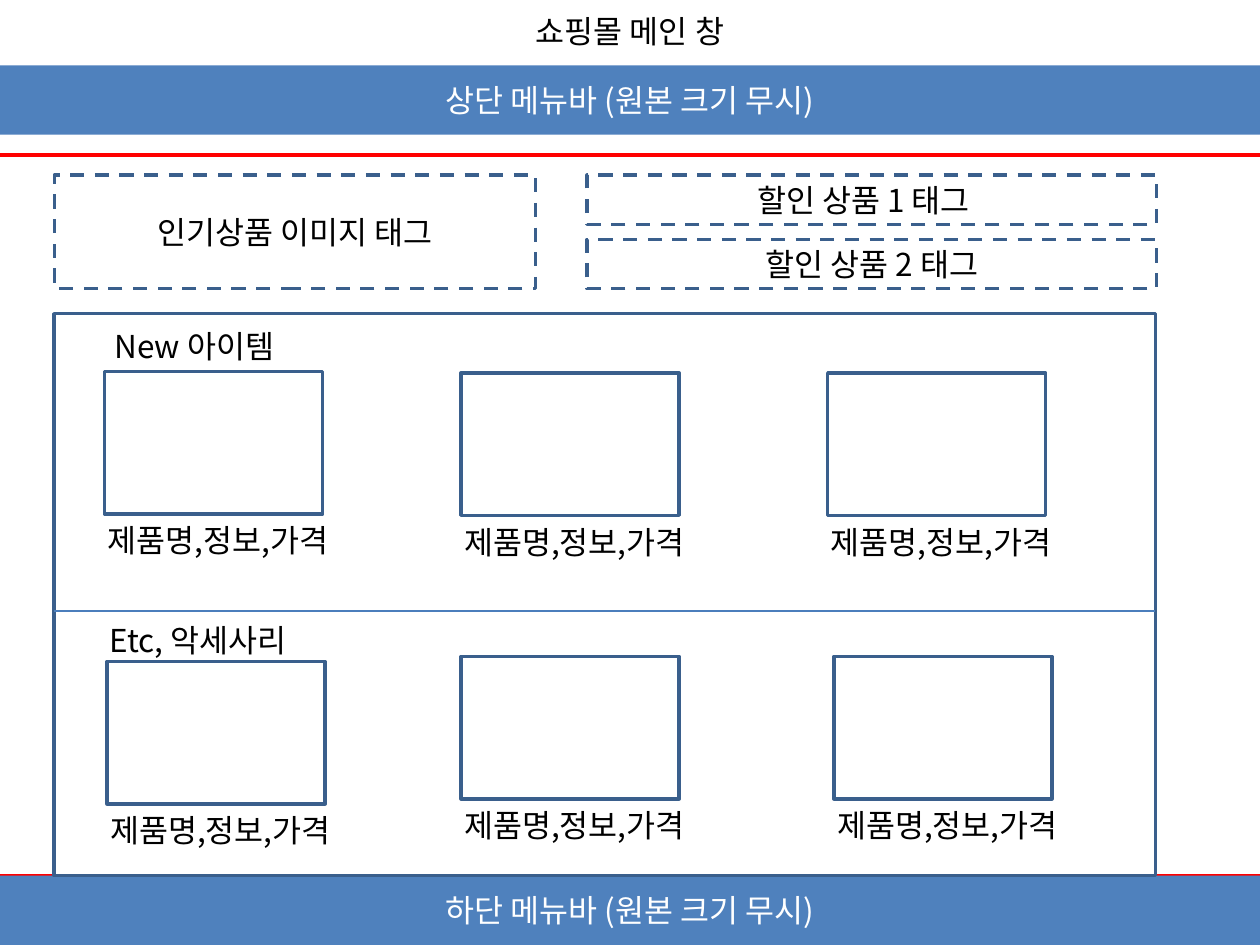
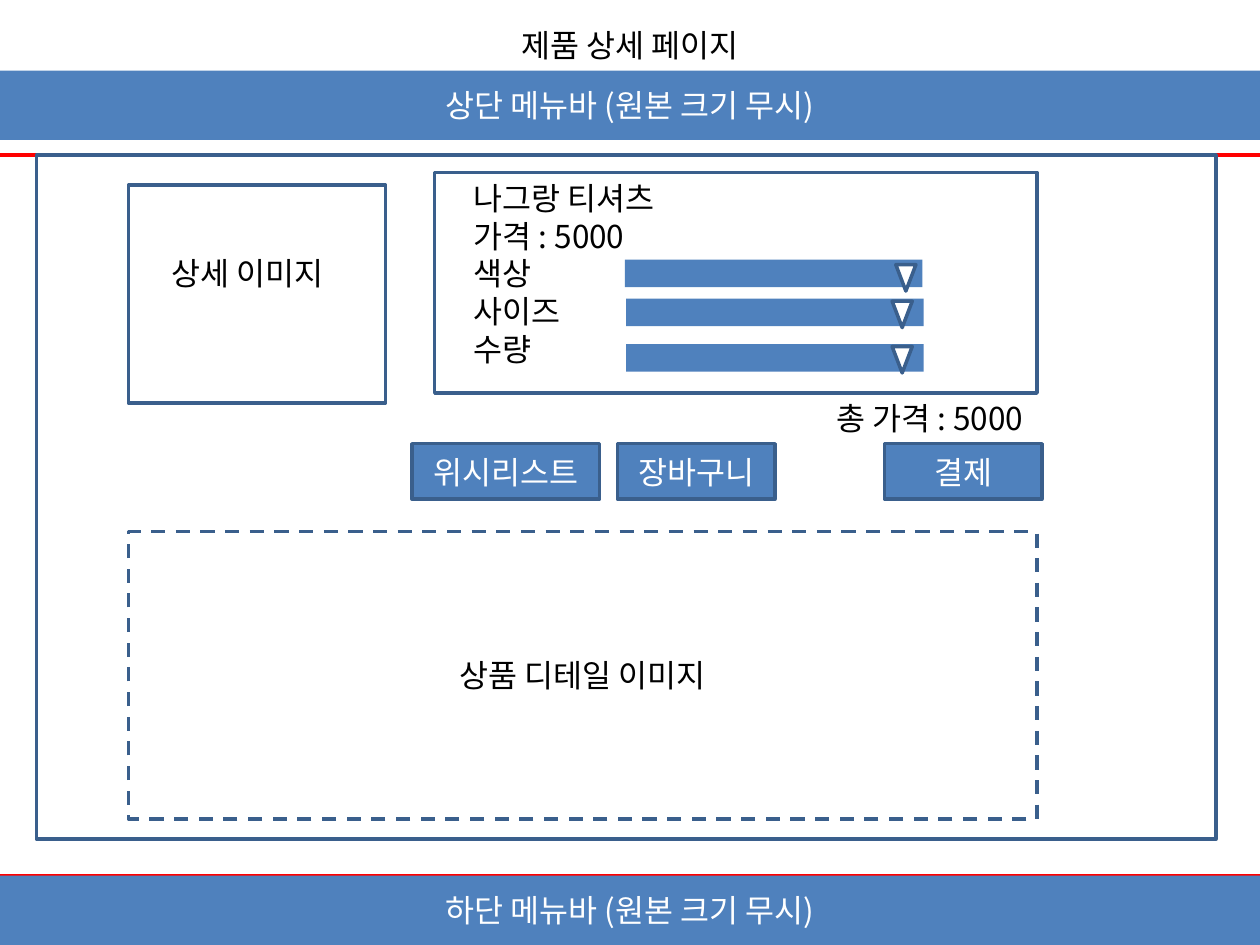
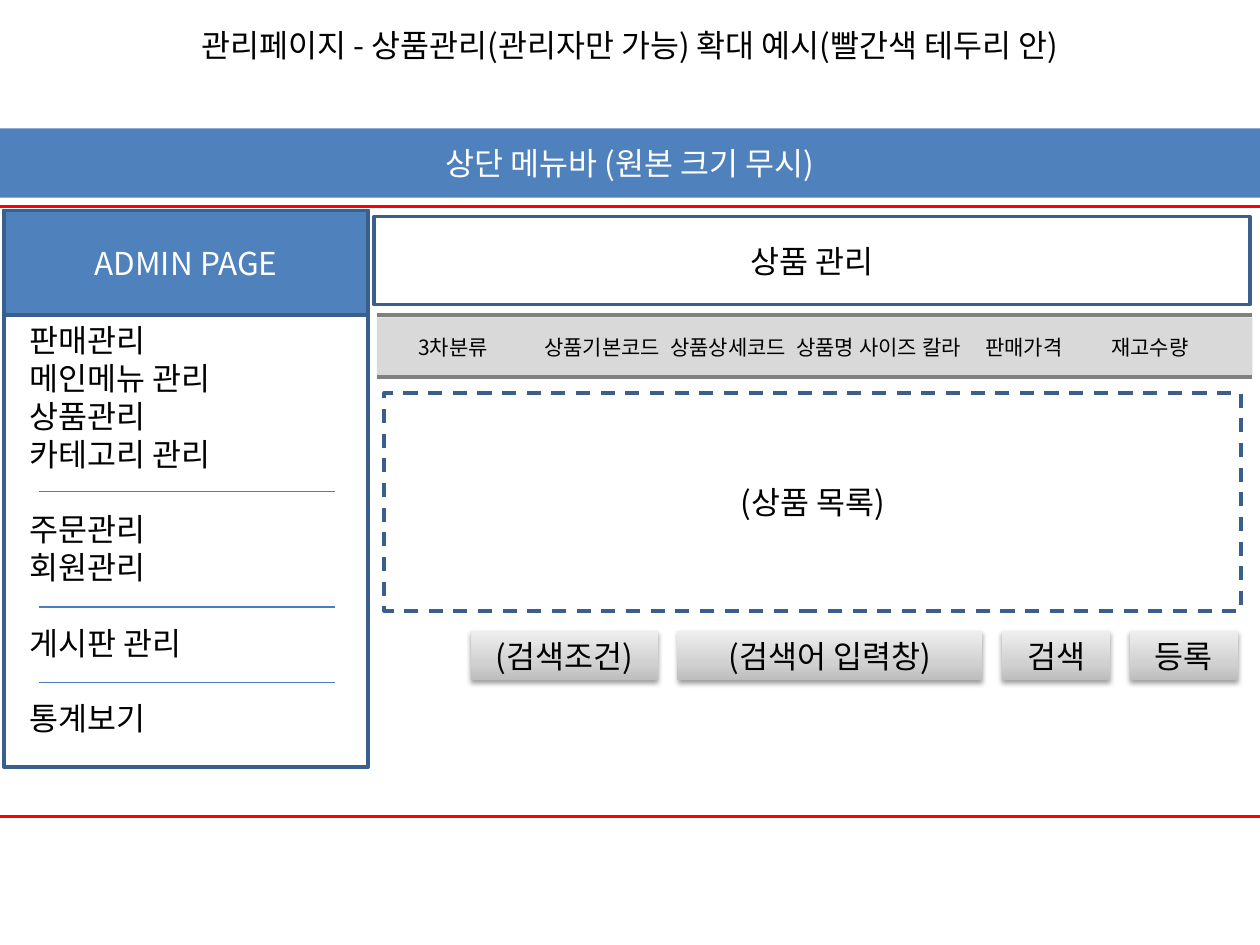
from dataclasses import dataclass
from typing import Any, NamedTuple, Optional

from lxml.etree import SubElement
from pptx import Presentation
from pptx.dml.color import RGBColor
from pptx.enum.dml import MSO_LINE
from pptx.enum.shapes import MSO_CONNECTOR, MSO_SHAPE
from pptx.enum.text import MSO_ANCHOR, MSO_AUTO_SIZE, PP_ALIGN
from pptx.oxml import parse_xml
from pptx.oxml.ns import nsdecls, qn
from pptx.util import Pt


@dataclass(frozen=True)
class Theme:
    font: str = "Noto Sans CJK KR"
    size: float = 18
    small: float = 12
    leading: float = 1.2
    black: str = "000000"
    white: str = "FFFFFF"
    blue: str = "4F81BD"
    navy: str = "3A5F8C"
    rule: str = "4B7EBC"
    red: str = "FF0000"
    strip: str = "D9D9D9"
    strip_edge: str = "808080"
    outline: float = 2
    gradient: tuple = ((0, "BDBDBD"), (35, "D1D1D1"), (100, "EEEEEE"))


class Box(NamedTuple):
    left: float
    top: float
    width: float
    height: float = 28.8


class Look(NamedTuple):
    fill: Optional[str] = None
    line: Optional[str] = None
    dashed: bool = False
    ink: str = "000000"


class Product(NamedTuple):
    left: float
    top: float


class MenuEntry(NamedTuple):
    text: str
    starts_group: bool = False


THEME = Theme()
WIDTH, HEIGHT = 720, 540
BAND = Look(fill=THEME.blue, ink=THEME.white)
BUTTON = Look(fill=THEME.blue, line=THEME.navy, ink=THEME.white)
PANEL = Look(line=THEME.navy)
SLOT = Look(line=THEME.navy, dashed=True)
FRAME = Look(line=THEME.red)
ARROW = Look(fill=THEME.white, line=THEME.navy)
BAND_HEIGHT = 39.6
BOTTOM_BAND_TOP = HEIGHT - BAND_HEIGHT
FIELD_WIDTH, FIELD_HEIGHT = 170, 15.8
PRODUCT_WIDTH, PRODUCT_HEIGHT = 124.6, 81.4


# Shared helpers
def apply(target: Any, values: dict) -> None:
    for name, value in values.items():
        setattr(target, name, value)


def place(shape: Any, box: Box) -> None:
    apply(shape, {name: Pt(value) for name, value in box._asdict().items()})


def write(shape: Any, lines: list[str], ink: str = THEME.black, size: float = THEME.size,
          align: Any = PP_ALIGN.LEFT, anchor: Any = MSO_ANCHOR.TOP) -> Any:
    frame = shape.text_frame
    apply(frame, {"word_wrap": True, "auto_size": MSO_AUTO_SIZE.NONE, "vertical_anchor": anchor})
    for index, line in enumerate(lines):
        paragraph = frame.add_paragraph() if index else frame.paragraphs[0]
        properties = paragraph._p.get_or_add_pPr()
        properties.set("marL", "0")
        properties.set("indent", "0")
        SubElement(properties, qn("a:buNone"))
        apply(paragraph, {"alignment": align, "line_spacing": Pt(size * THEME.leading),
                          "space_before": Pt(0)})
        run = paragraph.add_run()
        run.text = line
        apply(run.font, {"size": Pt(size), "name": THEME.font, "bold": False})
        run.font.color.rgb = RGBColor.from_string(ink)
        SubElement(run._r.get_or_add_rPr(), qn("a:ea"), typeface=THEME.font)
    return frame


def block(slide: Any, box: Box, look: Look, text: str = "", size: float = THEME.size,
          outline: Any = MSO_SHAPE.RECTANGLE) -> Any:
    shape = slide.shapes.add_shape(outline, *map(Pt, box))
    shape.shadow.inherit = False
    if look.fill:
        shape.fill.solid()
        shape.fill.fore_color.rgb = RGBColor.from_string(look.fill)
    else:
        shape.fill.background()
    if look.line:
        shape.line.color.rgb = RGBColor.from_string(look.line)
        shape.line.width = Pt(THEME.outline)
        if look.dashed:
            shape.line.dash_style = MSO_LINE.DASH
    else:
        shape.line.fill.background()
    if text:
        write(shape, [text], look.ink, size, PP_ALIGN.CENTER, MSO_ANCHOR.MIDDLE)
    return shape


def label(slide: Any, box: Box, text: str) -> None:
    write(slide.shapes.add_textbox(*map(Pt, box)), [text])


def rule(slide: Any, left: float, right: float, top: float,
         color: str = THEME.rule, weight: float = 0.75) -> None:
    line = slide.shapes.add_connector(MSO_CONNECTOR.STRAIGHT, Pt(left), Pt(top), Pt(right), Pt(top))
    line.line.color.rgb = RGBColor.from_string(color)
    line.line.width = Pt(weight)
    SubElement(line._element.spPr, qn("a:effectLst"))


def gray_button(slide: Any, box: Box, text: str) -> None:
    properties = block(slide, box, Look(), text)._element.spPr
    stops = "".join(f'<a:gs pos="{position * 1000}"><a:srgbClr val="{color}"/></a:gs>'
                    for position, color in THEME.gradient)
    gradient = parse_xml(f'<a:gradFill {nsdecls("a")} rotWithShape="1"><a:gsLst>{stops}</a:gsLst>'
                         '<a:lin ang="16200000" scaled="0"/></a:gradFill>')
    properties.replace(properties.find(qn("a:noFill")), gradient)
    shadow = parse_xml(f'<a:outerShdw {nsdecls("a")} blurRad="{Pt(3.1)}" dist="{Pt(1.6)}" '
                       'dir="5400000" rotWithShape="0"><a:srgbClr val="000000">'
                       '<a:alpha val="38000"/></a:srgbClr></a:outerShdw>')
    properties.find(qn("a:effectLst")).append(shadow)


def start_page(deck: Any, layout: int, title: str, title_top: float, band_top: float,
               frame_top: float = 88.6, frame_bottom: float = BOTTOM_BAND_TOP) -> Any:
    slide = deck.slides.add_slide(deck.slide_layouts[layout])
    place(slide.shapes.title, Box(0, title_top, WIDTH))
    write(slide.shapes.title, [title], align=PP_ALIGN.CENTER)
    block(slide, Box(0, band_top, WIDTH, BAND_HEIGHT), BAND, "상단 메뉴바 (원본 크기 무시)")
    block(slide, Box(-16.5, frame_top, 753.8, frame_bottom - frame_top), FRAME)
    return slide


def bottom_band(slide: Any) -> None:
    block(slide, Box(0, BOTTOM_BAND_TOP, WIDTH, BAND_HEIGHT), BAND, "하단 메뉴바 (원본 크기 무시)")


# Shop main window
def build_main_window(deck: Any) -> None:
    slide = start_page(deck, 5, "쇼핑몰 메인 창", 3, 37.4)
    bottom_band(slide)
    block(slide, Box(31, 100.1, 275, 64.8), SLOT, "인기상품 이미지 태그")
    block(slide, Box(31, 179.3, 629.3, 321.1), PANEL)

    first_discount = block(slide, Box(335.5, 100.1, 325.4, 28.1), SLOT, "할인 상품 1 태그")
    first_discount.text_frame.margin_right = Pt(16.6)
    block(slide, Box(335.5, 136.8, 325.4, 28.1), SLOT, "할인 상품 2 태그")

    label(slide, Box(58.3, 183.6, 130.3), "New 아이템")
    label(slide, Box(55.4, 351.4, 130.3), "Etc, 악세사리")
    rule(slide, 31, 660.3, 349.2)
    products = [
        Product(59.8, 212.4), Product(263.5, 213.1), Product(473, 213.1),
        Product(61.2, 378), Product(263.5, 375.1), Product(476.6, 375.1),
    ]
    for left, top in products:
        block(slide, Box(left, top, PRODUCT_WIDTH, PRODUCT_HEIGHT), PANEL)
        label(slide, Box(left - 5.3, top + 82, 175.7), "제품명,정보,가격")


# Product detail page
def build_product_detail(deck: Any) -> None:
    slide = start_page(deck, 1, "제품 상세 페이지", 11.5, 40.3)
    bottom_band(slide)
    block(slide, Box(73.4, 303.8, 519.1, 164.2), SLOT, "상품 디테일 이미지")
    block(slide, Box(20.9, 88.6, 673.9, 391), PANEL)
    block(slide, Box(73.4, 105.8, 146.9, 124.6), PANEL)
    label(slide, Box(90.7, 141.8, 175.7), "상세 이미지")

    block(slide, Box(248.4, 98.6, 344.2, 126), PANEL)
    options = slide.placeholders[1]
    place(options, Box(263.5, 98.6, 294.5, 116.6))
    write(options, ["나그랑 티셔츠", "가격 : 5000", "색상", "사이즈", "수량"])

    # Drop-down fields: field left and top, arrow left and top
    for left, top, arrow_left, arrow_top in [
        (357.1, 148.3, 511.9, 151.2),
        (357.8, 170.6, 509.8, 172.1),
        (357.8, 196.6, 509.8, 198),
    ]:
        block(slide, Box(left, top, FIELD_WIDTH, FIELD_HEIGHT), BAND)
        block(slide, Box(arrow_left, arrow_top, 11.5, 15.1), ARROW,
              outline=MSO_SHAPE.FLOWCHART_MERGE)

    label(slide, Box(470.9, 224.6, 175.7), "총 가격 : 5000")
    for text, left, width in [("결제", 505.4, 90), ("장바구니", 352.8, 90),
                              ("위시리스트", 235.4, 107.3)]:
        block(slide, Box(left, 253.6, width, 31.7), BUTTON, text)


# Admin page
def build_admin_page(deck: Any) -> None:
    slide = start_page(deck, 1, "관리페이지 - 상품관리(관리자만 가능) 확대 예시(빨간색 테두리 안)",
                       11.5, 73.4, 118.1, 466.6)

    # Side menu
    block(slide, Box(2.2, 120.2, 208.1, 59.8), BUTTON, "ADMIN PAGE")
    entries = [
        MenuEntry("판매관리"), MenuEntry("메인메뉴 관리"), MenuEntry("상품관리"),
        MenuEntry("카테고리 관리"), MenuEntry("주문관리", True), MenuEntry("회원관리"),
        MenuEntry("게시판 관리", True), MenuEntry("통계보기", True),
    ]
    menu = slide.placeholders[1]
    place(menu, Box(0, 180, 219.6, 247))
    frame = write(menu, [entry.text for entry in entries])
    frame.margin_left = Pt(16.6)
    for entry, paragraph in zip(entries, frame.paragraphs):
        if entry.starts_group:
            paragraph.space_before = Pt(THEME.size * THEME.leading)
    block(slide, Box(2.2, 120.2, 208.1, 318.2), PANEL)
    for top in (281, 346.9, 390.2):
        rule(slide, 22.3, 191.5, top)

    # Product list with its column headings
    block(slide, Box(213.8, 123.8, 500.4, 50.4), PANEL, "상품 관리")
    columns = ["3차분류", "상품기본코드", "상품상세코드", "상품명", "사이즈", "칼라",
               "판매가격", "재고수량"]
    tab_stops = (49, 121.7, 216, 288, 327.3, 356, 406.7)
    headings = block(slide, Box(215.3, 181.4, 500.4, 33.8), Look(fill=THEME.strip),
                     "\t".join(columns), THEME.small)
    headings.text_frame.margin_left = Pt(23.7)
    paragraph = headings.text_frame.paragraphs[0]
    paragraph.alignment = PP_ALIGN.LEFT
    tabs = SubElement(paragraph._p.get_or_add_pPr(), qn("a:tabLst"))
    for stop in tab_stops:
        SubElement(tabs, qn("a:tab"), pos=str(Pt(stop)), algn="l")
    for top in (180, 215.3):
        rule(slide, 215.3, 715.7, top, THEME.strip_edge, 2.25)
    block(slide, Box(219.6, 224.6, 489.6, 124.6), SLOT, "(상품 목록)")

    # Search row
    left = 269.3
    for text, width in [("(검색조건)", 106.6), ("(검색어 입력창)", 174.2),
                        ("검색", 61.9), ("등록", 61.9)]:
        gray_button(slide, Box(left, 360.7, width, 28.1), text)
        left += width + 11.2


def main() -> None:
    deck = Presentation()
    apply(deck, {"slide_width": Pt(WIDTH), "slide_height": Pt(HEIGHT)})
    build_main_window(deck)
    build_product_detail(deck)
    build_admin_page(deck)
    deck.save("out.pptx")


if __name__ == "__main__":
    main()
